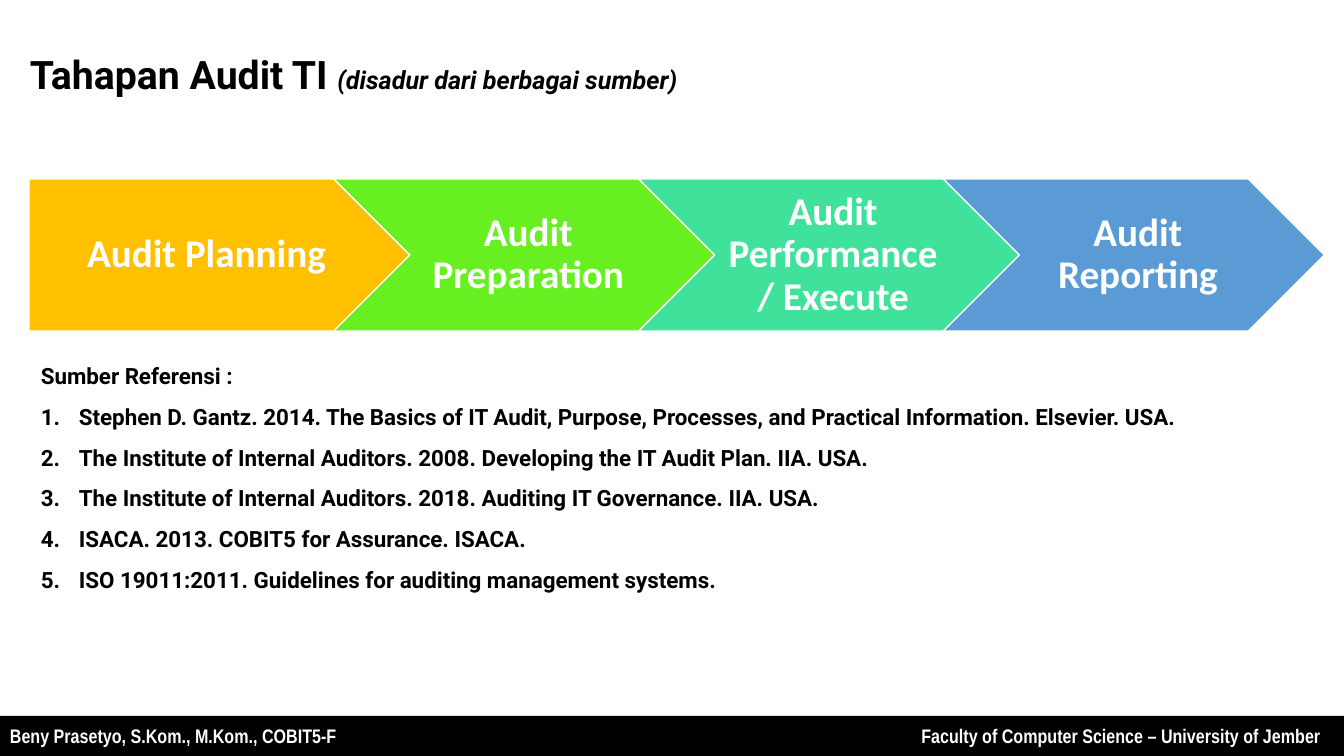
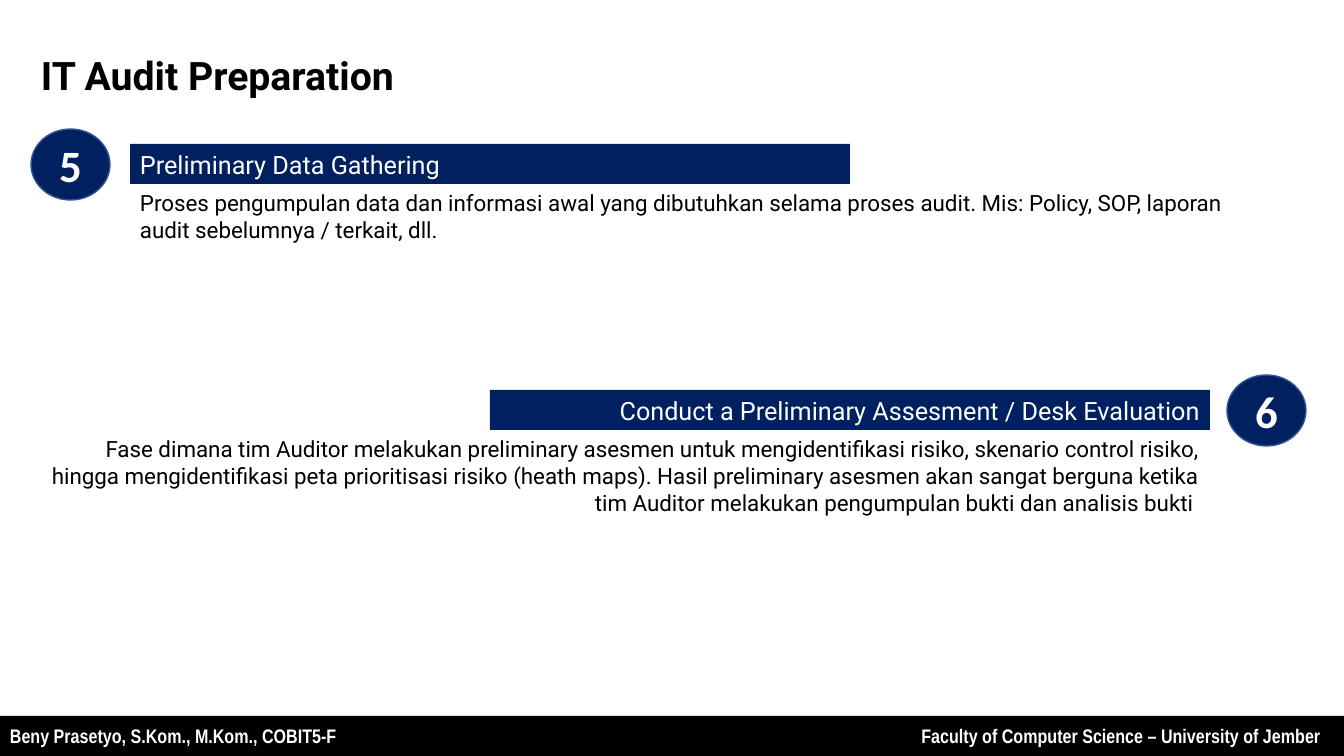
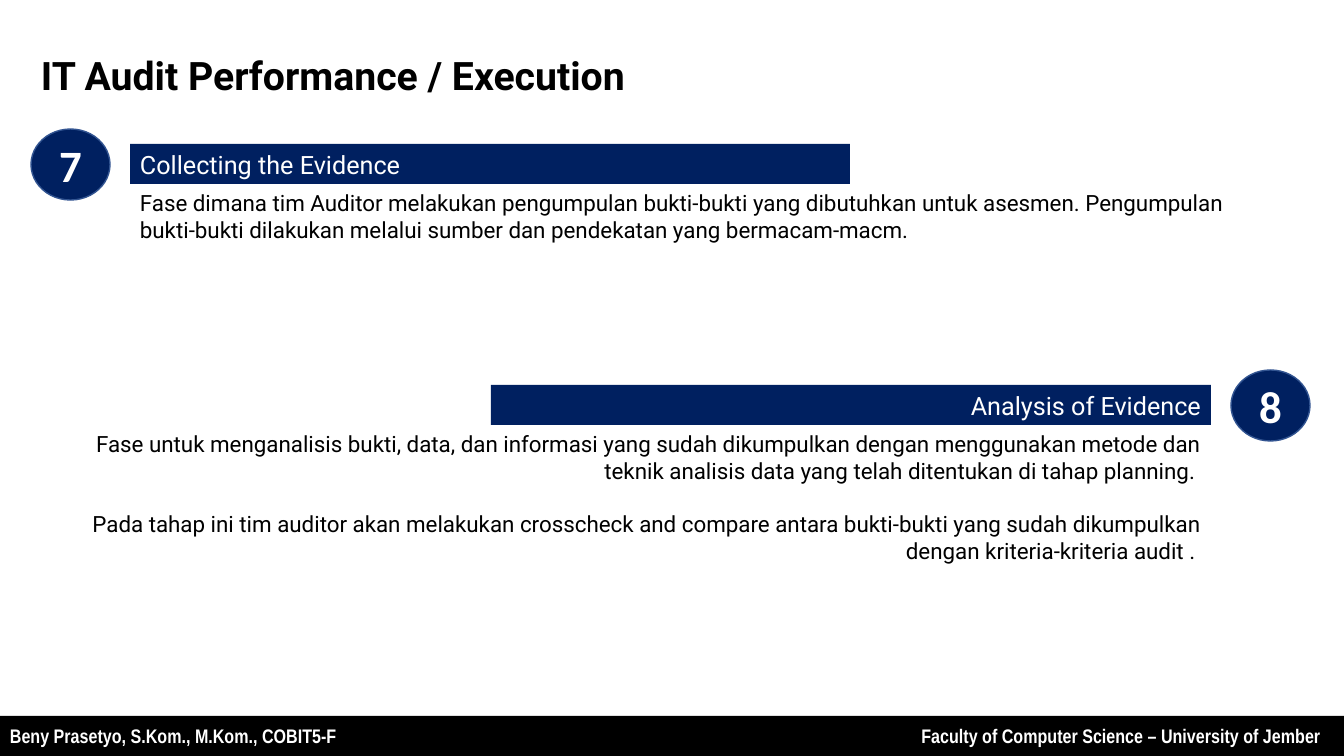
from pptx import Presentation
from pptx.dml.color import RGBColor
from pptx.enum.shapes import MSO_SHAPE
from pptx.enum.text import MSO_ANCHOR, PP_ALIGN
from pptx.util import Inches, Pt
from lxml.etree import SubElement
from pptx.oxml.ns import qn

PX = Inches(1) / 100.8
WIDE, HIGH = 1344, 756

BLACK = RGBColor(0x00, 0x00, 0x00)
WHITE = RGBColor(0xFF, 0xFF, 0xFF)
NAVY = RGBColor(0x00, 0x20, 0x60)
EDGE = RGBColor(0x32, 0x54, 0x91)
GOLD = RGBColor(0xFF, 0xC0, 0x00)
LIME = RGBColor(0x67, 0xEF, 0x21)
MINT = RGBColor(0x3F, 0xE1, 0x9B)
BLUE = RGBColor(0x5B, 0x9B, 0xD5)

LEFT, MID, RIGHT = PP_ALIGN.LEFT, PP_ALIGN.CENTER, PP_ALIGN.RIGHT

# Content
AUTHOR = "Beny Prasetyo, S.Kom., M.Kom., COBIT5-F"
SCHOOL = "Faculty of Computer Science – University of Jember"

STAGES = [
    ("Audit Planning", GOLD),
    ("Audit Preparation", LIME),
    ("Audit Performance / Execute", MINT),
    ("Audit Reporting", BLUE),
]

SOURCES = [
    "Stephen D. Gantz. 2014. The Basics of IT Audit, Purpose, Processes, "
    "and Practical Information. Elsevier. USA.",
    "The Institute of Internal Auditors. 2008. Developing the IT Audit Plan. IIA. USA.",
    "The Institute of Internal Auditors. 2018. Auditing IT Governance. IIA. USA.",
    "ISACA. 2013. COBIT5 for Assurance. ISACA.",
    "ISO 19011:2011. Guidelines for auditing management systems.",
]

# Each step: number, heading, paragraphs, align, circle x, band x, band y, body x, body width
STEPS = {
    "IT Audit Preparation": [
        ("5", "Preliminary Data Gathering", [
            "Proses pengumpulan data dan informasi awal yang dibutuhkan selama proses "
            "audit. Mis: Policy, SOP, laporan audit sebelumnya / terkait, dll.",
        ], LEFT, 31, 130, 144, 130, 1141),
        ("6", "Conduct a Preliminary Assesment / Desk Evaluation", [
            "Fase dimana tim Auditor melakukan preliminary asesmen untuk mengidentifikasi "
            "risiko, skenario control risiko, hingga mengidentifikasi peta prioritisasi "
            "risiko (heath maps). Hasil preliminary asesmen akan sangat berguna ketika "
            "tim Auditor melakukan pengumpulan bukti dan analisis bukti ",
        ], RIGHT, 1227, 490, 390, 38, 1171),
    ],
    "IT Audit Performance / Execution": [
        ("7", "Collecting the Evidence", [
            "Fase dimana tim Auditor melakukan pengumpulan bukti-bukti yang dibutuhkan "
            "untuk asesmen. Pengumpulan bukti-bukti dilakukan melalui sumber dan "
            "pendekatan yang bermacam-macm.",
        ], LEFT, 31, 130, 144, 130, 1141),
        ("8", "Analysis of Evidence", [
            "Fase untuk menganalisis bukti, data, dan informasi yang sudah dikumpulkan "
            "dengan menggunakan metode dan teknik analisis data yang telah ditentukan "
            "di tahap planning. ",
            "Pada tahap ini tim auditor akan melakukan crosscheck and compare antara "
            "bukti-bukti yang sudah dikumpulkan dengan kriteria-kriteria audit . ",
        ], RIGHT, 1231, 491, 385, 36, 1175),
    ],
}


# Shared helpers
def px(*sizes):
    return [round(size * PX) for size in sizes]


def style(para, size, color=BLACK, bold=False, face="Roboto", align=LEFT):
    para.alignment = align
    font = para.font
    font.name, font.size, font.bold = face, Pt(size), bold
    font.color.rgb = color


def add_form(slide, kind, box, fill, line=None):
    form = slide.shapes.add_shape(kind, *px(*box))
    form.shadow.inherit = False
    form.fill.solid()
    form.fill.fore_color.rgb = fill
    if line is None:
        form.line.fill.background()
    else:
        form.line.color.rgb = line
        form.line.width = Pt(1)
    form.text_frame.word_wrap = True
    return form


def add_text(slide, box, texts, size, bold=False, align=LEFT, gap=0):
    frame = slide.shapes.add_textbox(*px(*box)).text_frame
    frame.word_wrap = True
    for i, text in enumerate(texts):
        para = frame.add_paragraph() if i else frame.paragraphs[0]
        para.text = text
        if i:
            para.space_before = Pt(gap)
        style(para, size, bold=bold, align=align)
    return frame


def add_number(para, indent):
    props = para._p.get_or_add_pPr()
    props.set("marL", str(indent))
    props.set("indent", str(-indent))
    SubElement(props, qn("a:buFont"), typeface="+mj-lt")
    SubElement(props, qn("a:buAutoNum"), type="arabicPeriod")


def add_footer(slide):
    bar = add_form(slide, MSO_SHAPE.RECTANGLE, (0, 716, WIDE, 40), BLACK)
    para = bar.text_frame.paragraphs[0]
    para.text = f"{AUTHOR}\t{SCHOOL}"
    tabs = SubElement(para._p.get_or_add_pPr(), qn("a:tabLst"))
    SubElement(tabs, qn("a:tab"), pos=str(px(1311)[0]), algn="r")
    style(para, 14, WHITE, True, "Arial Narrow")


def add_page(deck, title, left=31, top=46):
    slide = deck.slides.add_slide(deck.slide_layouts[6])
    add_footer(slide)
    frame = add_text(slide, (left, top, 1092, 57), [title], 28, bold=True)
    return slide, frame.paragraphs[0]


# Slide parts
def add_stages(slide):
    width, high = 381, 152
    for i, (text, color) in enumerate(STAGES):
        kind = MSO_SHAPE.CHEVRON if i else MSO_SHAPE.PENTAGON
        box = (29 + i * width * 4 / 5, 179, width, high)
        frame = add_form(slide, kind, box, color, WHITE).text_frame
        frame.margin_left, frame.margin_right = px(12 if i else 16, 4)
        frame.margin_top, frame.margin_bottom = px(8, 8)
        para = frame.paragraphs[0]
        para.text = text
        para.line_spacing = 0.9
        style(para, 28, WHITE, True, "Calibri", MID)


def add_sources(slide):
    texts = ["Sumber Referensi :"] + SOURCES
    frame = add_text(slide, (31, 357, 1270, 364), texts, 16, bold=True, gap=10)
    for para in frame.paragraphs[1:]:
        add_number(para, px(38)[0])


def add_step(slide, num, head, texts, align, dot, left, top, start, width):
    disc = add_form(slide, MSO_SHAPE.OVAL, (dot, top - 15, 79, 71), NAVY, EDGE)
    para = disc.text_frame.paragraphs[0]
    para.text = num
    style(para, 32, WHITE, True, "Calibri", MID)

    band = add_form(slide, MSO_SHAPE.RECTANGLE, (left, top, 720, 40), NAVY)
    band.text_frame.vertical_anchor = MSO_ANCHOR.TOP
    para = band.text_frame.paragraphs[0]
    para.text = head
    style(para, 18, WHITE, align=align)

    high = 146 if len(texts) > 1 else 92 if align == RIGHT else 65
    add_text(slide, (start, top + 40, width, high), texts, 16, align=align, gap=19)


def main():
    deck = Presentation()
    deck.slide_width, deck.slide_height = px(WIDE, HIGH)

    # Stages and references
    slide, title = add_page(deck, "Tahapan Audit TI ", 20, 45)
    note = title.add_run()
    note.text = "(disadur dari berbagai sumber)"
    note.font.size, note.font.italic = Pt(18), True
    add_stages(slide)
    add_sources(slide)

    # Numbered steps
    for head, steps in STEPS.items():
        slide, title = add_page(deck, head)
        for step in steps:
            add_step(slide, *step)

    deck.save("out.pptx")


if __name__ == "__main__":
    main()
